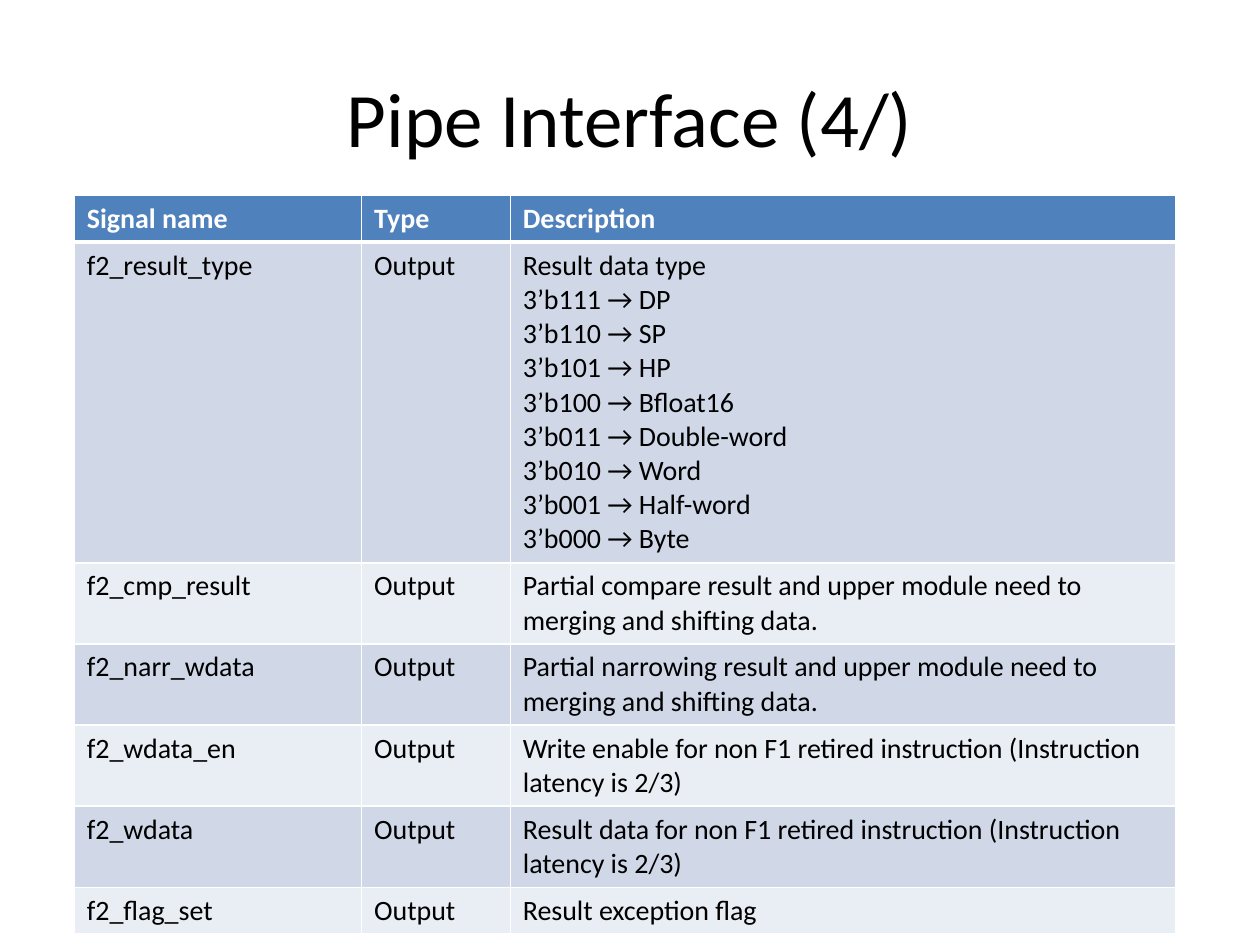
import pptx
import pptx.util
import pptx.dml.color
import pptx.enum.text
import pptx.oxml
import pptx.oxml.ns

TITLE = "Pipe Interface (4/)"
HEADER = ("Signal name", "Type", "Description")
RESULT_TYPES = ("DP", "SP", "HP", "Bfloat16", "Double-word", "Word", "Half-word", "Byte")
TYPE_LINES = [f"3’b{7 - i:03b} → {name}" for i, name in enumerate(RESULT_TYPES)]
SIGNALS = [
    ("f2_result_type", "\n".join(["Result data type"] + TYPE_LINES), 9),
    ("f2_cmp_result", "Partial compare result and upper module need to merging and shifting data.", 2),
    ("f2_narr_wdata", "Partial narrowing result and upper module need to merging and shifting data.", 2),
    ("f2_wdata_en", "Write enable for non F1 retired instruction (Instruction latency is 2/3)", 2),
    ("f2_wdata", "Result data for non F1 retired instruction (Instruction latency is 2/3)", 2),
    ("f2_flag_set", "Result exception flag", 1),
]
ROWS = [(HEADER, 1)] + [((name, "Output", text), lines) for name, text, lines in SIGNALS]
COLUMNS = (2.28, 1.18, 5.28)
LEFT, TOP = 0.59, 1.55
LINE, PADDING = 0.27, 0.1
HEAD_FILL, BANDS = "4F81BD", ("E9EDF4", "D0D8E8")
FONT, WHITE, BLACK = "Calibri", "FFFFFF", "000000"

inch = pptx.util.Inches


def color(value):
    return pptx.dml.color.RGBColor.from_string(value)


def style(p, size, value, bold=False):
    for r in p.runs:
        r.font.name = FONT
        r.font.size = pptx.util.Pt(size)
        r.font.bold = bold
        r.font.color.rgb = color(value)


def add_borders(cell, widths):
    for side, width in widths.items():
        cell._tc.get_or_add_tcPr().append(pptx.oxml.parse_xml(
            f'<a:{side} {pptx.oxml.ns.nsdecls("a")} w="{pptx.util.Pt(width)}">'
            f'<a:solidFill><a:srgbClr val="{WHITE}"/></a:solidFill></a:{side}>'))


def add_title(s):
    title = s.shapes.title
    title.left, title.top, title.width, title.height = map(inch, (0.5, 0.3, 9, 1.25))
    tf = title.text_frame
    tf.text = TITLE
    tf.vertical_anchor = pptx.enum.text.MSO_ANCHOR.MIDDLE
    p = tf.paragraphs[0]
    p.alignment = pptx.enum.text.PP_ALIGN.CENTER
    style(p, 44, BLACK)


def add_signal_table(s):
    heights = [lines * LINE + PADDING for _, lines in ROWS]
    table = s.shapes.add_table(len(ROWS), len(COLUMNS), inch(LEFT), inch(TOP),
                               inch(sum(COLUMNS)), inch(sum(heights))).table
    for column, width in zip(table.columns, COLUMNS):
        column.width = inch(width)
    for i, (texts, _) in enumerate(ROWS):
        table.rows[i].height = inch(heights[i])
        head = i == 0
        for j, text in enumerate(texts):
            cell = table.cell(i, j)
            cell.text_frame.text = text
            for p in cell.text_frame.paragraphs:
                style(p, 16, WHITE if head else BLACK, head)
            add_borders(cell, {"lnL": 1, "lnR": 1, "lnT": 3 if i == 1 else 1,
                               "lnB": 3 if head else 1})
            cell.fill.solid()
            cell.fill.fore_color.rgb = color(HEAD_FILL if head else BANDS[i % 2])


def main():
    prs = pptx.Presentation()
    prs.slide_width, prs.slide_height = inch(10), inch(7.5)
    s = prs.slides.add_slide(prs.slide_layouts[5])
    add_title(s)
    add_signal_table(s)
    prs.save("out.pptx")


if __name__ == "__main__":
    main()
